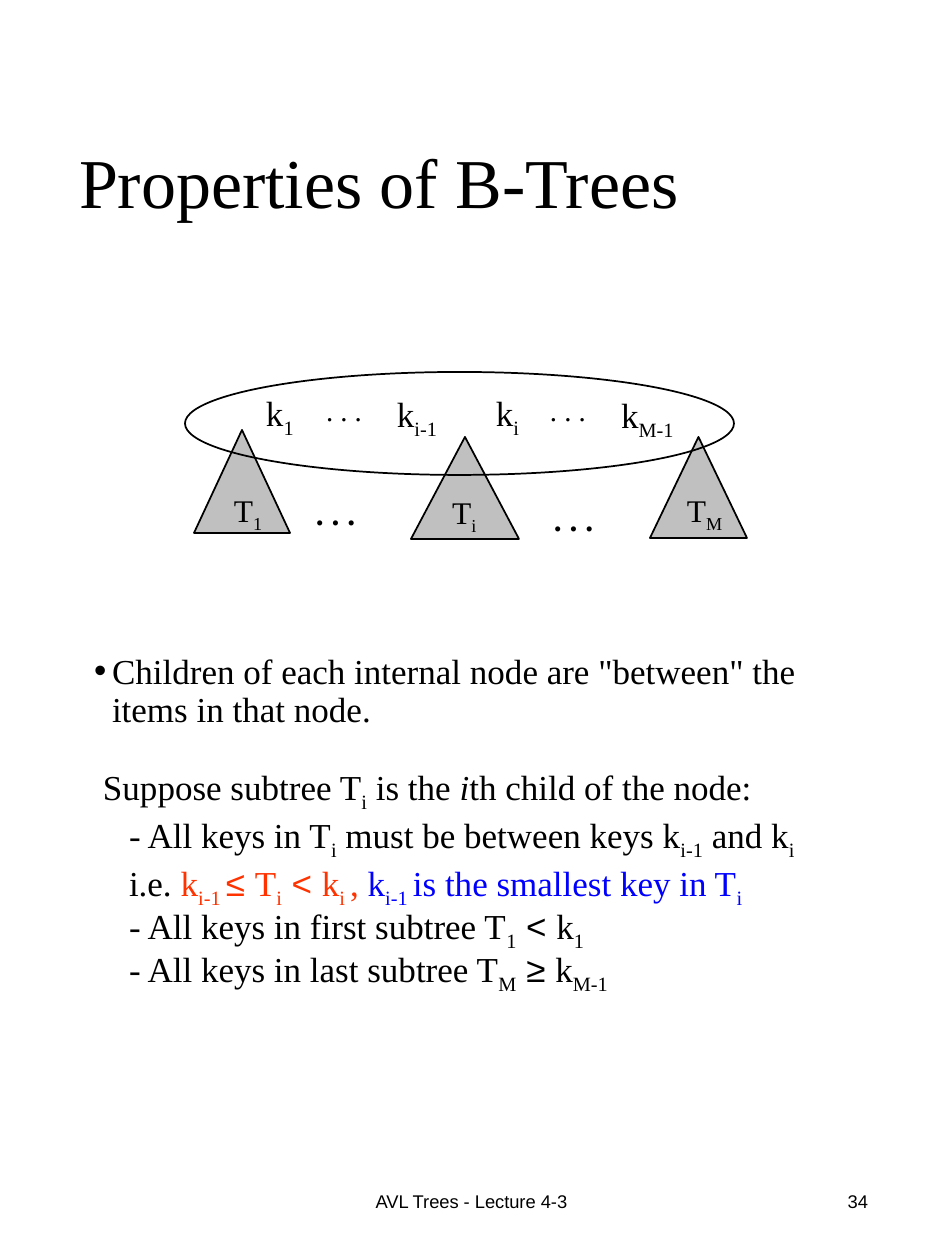
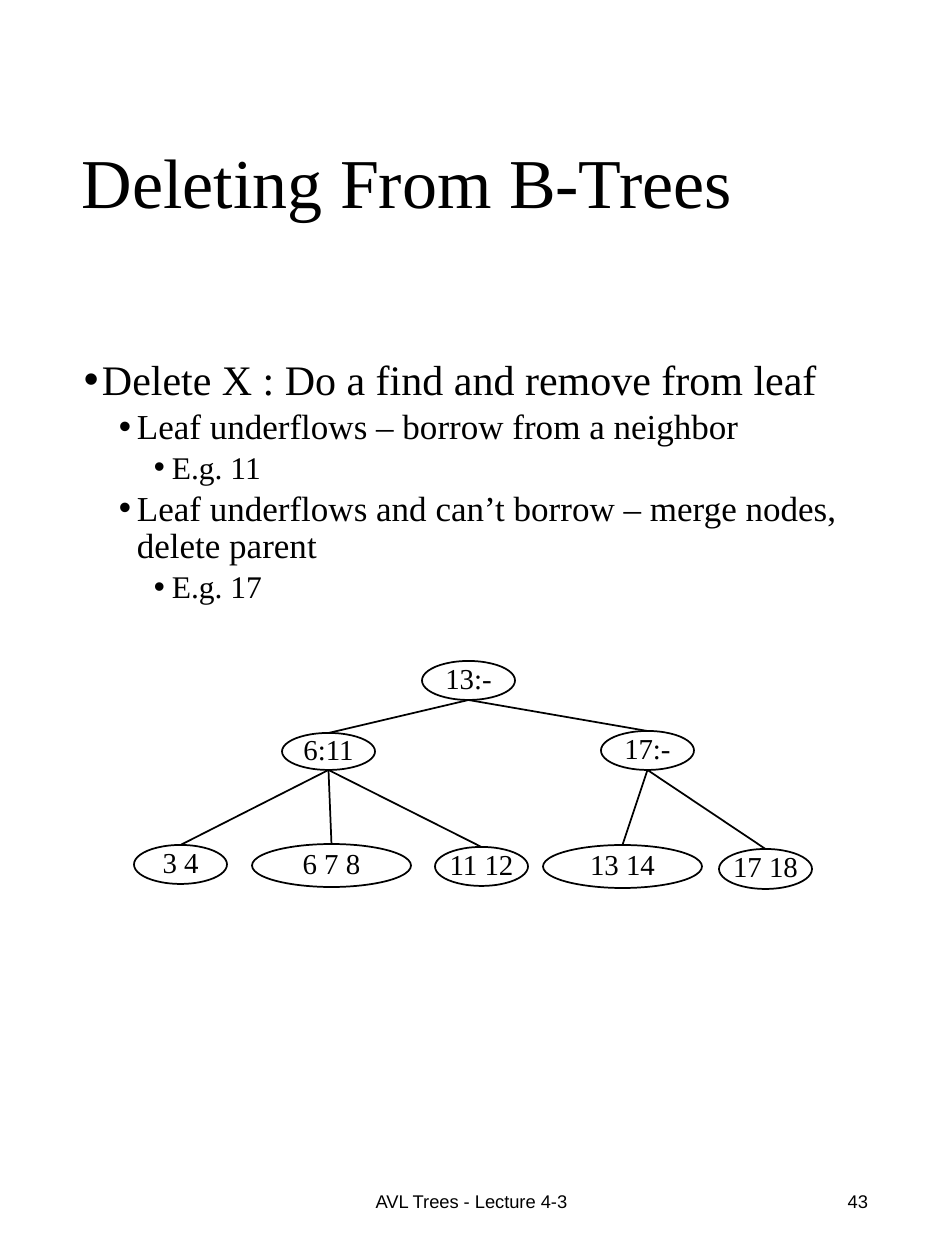
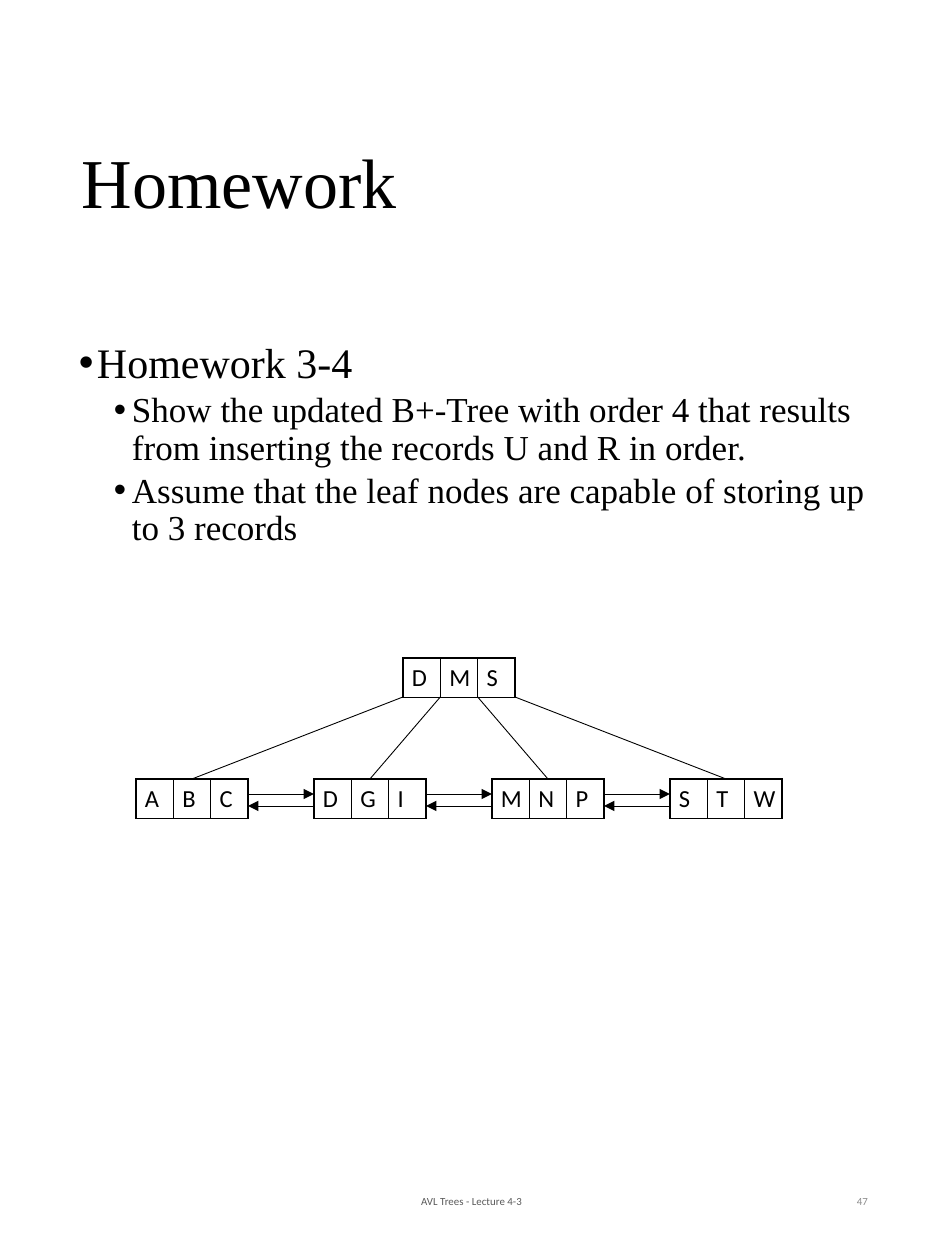
from dataclasses import dataclass

import pptx
import pptx.dml.color
import pptx.enum.shapes
import pptx.enum.text
import pptx.oxml.ns
import pptx.util
from lxml import etree

PX = 914400 / 126
BLACK, GRAY, RED, BLUE = "000000", "C0C0C0", "FF3300", "0000FF"
SERIF, SANS, CELL = "Times New Roman", "Arial", "Calibri"
SIZES = [24, 20, 18]  # text size of each bullet level
FOOTER = "AVL Trees - Lecture 4-3"
INSET = (13, 6, 13, 6)
TIGHT = (10, 5, 10, 5)
NONE = (0, 0, 0, 0)
ALIGN = pptx.enum.text.PP_ALIGN
ANCHOR = pptx.enum.text.MSO_ANCHOR
SHAPE = pptx.enum.shapes.MSO_SHAPE


@dataclass
class Para:
    """Pieces of text are split by |; _ marks a subscript, * an italic."""
    text: object  # a string, or a list of (string, colour)
    size: float
    color: str = BLACK
    face: str = SERIF
    align: object = ALIGN.LEFT
    line: float = 1.0
    before: float = 0
    left: int = 0
    hang: int = 0
    bold: bool = False


def emu(px):
    return pptx.util.Emu(round(px * PX))


def paint(target, color):
    target.rgb = pptx.dml.color.RGBColor.from_string(color)


def sub(parent, tag, **attrs):
    return etree.SubElement(parent, pptx.oxml.ns.qn(tag), attrs)


# Text

def style(run, para, color):
    mark = run.text[0]
    if mark in "_*":
        run.text = run.text[1:]
    font = run.font
    font.name = SANS if run.text.strip() in {"<", "≤", "≥"} else para.face
    font.size = pptx.util.Pt(para.size)
    font.bold = para.bold
    font.italic = mark == "*"
    if mark == "_":
        font._element.set("baseline", "-25000")
    font.fill.solid()
    paint(font.fill.fore_color, color)


def write(frame, paras):
    for i, para in enumerate(paras):
        line = frame.add_paragraph() if i else frame.paragraphs[0]
        props = line._p.get_or_add_pPr()
        props.set("marL", str(emu(para.left)))
        props.set("indent", str(emu(-para.hang)))
        if para.hang:
            sub(props, "a:buFont", typeface=SANS)
            sub(props, "a:buChar", char="•")
        else:
            sub(props, "a:buNone")
        line.alignment = para.align
        line.line_spacing = para.line
        if para.before:
            line.space_before = pptx.util.Pt(para.before)
        spans = [(para.text, para.color)] if isinstance(para.text, str) else para.text
        for text, color in spans:
            for piece in text.split("|"):
                run = line.add_run()
                run.text = piece
                style(run, para, color)


def setup(frame, inset, anchor):
    frame.word_wrap = True
    frame.vertical_anchor = anchor
    (frame.margin_left, frame.margin_top,
     frame.margin_right, frame.margin_bottom) = map(emu, inset)


def label(slide, box, *paras, inset=NONE, anchor=ANCHOR.TOP):
    frame = slide.shapes.add_textbox(*map(emu, box)).text_frame
    setup(frame, inset, anchor)
    write(frame, paras)


def bullet(text, level, first=False, size=None):
    return Para(text, size or SIZES[level], line=0.9, before=0 if first else 2.8,
                left=18 + 35 * level, hang=18)


# Shapes

def shape(slide, kind, box, fill=None):
    item = slide.shapes.add_shape(kind, *map(emu, box))
    item.shadow.inherit = False
    if fill:
        item.fill.solid()
        paint(item.fill.fore_color, fill)
    else:
        item.fill.background()
    paint(item.line.color, BLACK)
    item.line.width = pptx.util.Pt(1)
    return item


def line(slide, start, end, width, arrow=False):
    item = slide.shapes.add_connector(
        pptx.enum.shapes.MSO_CONNECTOR.STRAIGHT, *map(emu, (*start, *end)))
    paint(item.line.color, BLACK)
    item.line.width = pptx.util.Pt(width)
    if arrow:
        sub(item.line._get_or_add_ln(), "a:tailEnd", type="triangle")
    sub(item._element.spPr, "a:effectLst")


# What the slides share

def page(deck, title, number, inset=INSET, face=SANS, size=10.5, tints=(BLACK, BLACK)):
    slide = deck.slides.add_slide(deck.slide_layouts[6])
    label(slide, (69, 64, 815, 243), Para(title, 40, line=0.9),
          inset=inset, anchor=ANCHOR.MIDDLE)
    feet = [((312, 1168, 319, 67), FOOTER, ALIGN.CENTER),
            ((668, 1168, 213, 67), number, ALIGN.RIGHT)]
    for (box, text, align), tint in zip(feet, tints):
        label(slide, box, Para(text, size, tint, face, align),
              inset=INSET, anchor=ANCHOR.MIDDLE)
    return slide


# Slide 1: a node with its keys and subtrees

def node(slide, left, top):
    def spot(x, y, w, h):
        return left + x, top + y, w, h

    for box in [(9, 58, 96, 103), (226, 65, 108, 102), (465, 65, 97, 101)]:
        shape(slide, SHAPE.ISOSCELES_TRIANGLE, spot(*box), GRAY)
    shape(slide, SHAPE.OVAL, spot(0, 0, 549, 103))
    # Subtree names and the dots between them
    for text, x, y, w in [("T|_1", 49, 119, 30), ("T|_i", 267, 121, 30),
                          ("T|_M", 502, 119, 43)]:
        label(slide, spot(x, y, w, 38), Para(text, 18))
    for x, y in [(131, 122), (369, 128)]:
        label(slide, spot(x, y, 48, 38), Para(". . .", 18, bold=True))
    # Keys and the dots between them
    for text, x, y, w in [("k|_1", 81, 22, 30), ("k|_i-1", 212, 23, 50),
                          ("k|_i", 311, 22, 26), ("k|_M-1", 436, 24, 58)]:
        label(slide, spot(x, y, w, 55), Para(text, 20, line=0.85))
    for x in (141, 365):
        label(slide, spot(x, 26, 43, 43), Para(". . .", 16.5, line=0.85))


def rules(deck):
    slide = page(deck, "Properties of B-Trees", "34", TIGHT)
    node(slide, 185, 372)

    def item(text, before=0, left=35):
        return Para(text, 20, line=0.9, before=before, left=left)

    label(
        slide, (84, 649, 765, 325),
        bullet('Children of each internal node are "between" the items in that node.',
               0, True, 20),
        item("Suppose subtree T|_i| is the |*i|th child of the node:", 21, 9),
        item("- All keys in T|_i| must be between keys k|_i-1| and k|_i", 2.8),
        item([("i.e. ", BLACK), ("k|_i-1 |≤ |T|_i| < |k|_i |, ", RED),
              ("k|_i-1 |is the smallest key in T|_i", BLUE)], 2.8),
        item("- All keys in first subtree T|_1| < |k|_1"),
        item("- All keys in last subtree T|_M| ≥ |k|_M-1"),
        inset=TIGHT)


# Slide 2: a tree of ovals

def ovals(slide, left, top):
    # text, box, text of the parent
    nodes = [
        ("13:-", (288, 0, 93, 39), None),
        ("6:11", (148, 72, 93, 37), "13:-"),
        ("17:-", (467, 70, 93, 39), "13:-"),
        ("3 4", (0, 184, 93, 39), "6:11"),
        ("6 7 8", (118, 183, 159, 43), "6:11"),
        ("11 12", (301, 186, 93, 39), "6:11"),
        ("13 14", (409, 184, 159, 43), "17:-"),
        ("17 18", (585, 188, 93, 40), "17:-"),
    ]
    boxes = {text: (left + x, top + y, w, h) for text, (x, y, w, h), _ in nodes}
    for text, _, parent in nodes:
        x, y, w, h = boxes[text]
        if parent:
            px, py, pw, ph = boxes[parent]
            line(slide, (px + pw / 2, py + ph), (x + w / 2, y), 1)
        frame = shape(slide, SHAPE.OVAL, (x, y, w, h)).text_frame
        setup(frame, NONE, ANCHOR.MIDDLE)
        frame.word_wrap = False
        write(frame, [Para(text, 16.5, align=ALIGN.CENTER, line=0.85)])


def delete(deck):
    slide = page(deck, "Deleting From B-Trees", "43")
    label(
        slide, (71, 353, 804, 48),
        bullet("Delete X : Do a find and remove from leaf", 0, True),
        bullet("Leaf underflows – borrow from a neighbor", 1),
        bullet("E.g. 11", 2),
        bullet("Leaf underflows and can’t borrow – merge nodes, delete parent", 1),
        bullet("E.g. 17", 2),
        inset=INSET)
    ovals(slide, 134, 661)


# Slide 3: a tree of tables

def cells(slide, keys, box):
    frame = slide.shapes.add_table(1, len(keys), *map(emu, box))
    table = frame.table
    table.first_row = table.horz_banding = False
    for col, key in enumerate(keys):
        table.columns[col].width = emu(box[2] / len(keys))
        cell = table.cell(0, col)
        (cell.margin_left, cell.margin_top,
         cell.margin_right, cell.margin_bottom) = map(emu, (9, 5, 9, 5))
        write(cell.text_frame, [Para(key, 14, face=CELL)])
        props = cell._tc.get_or_add_tcPr()
        for side in "LRTB":
            edge = sub(props, f"a:ln{side}", w="12700")
            sub(sub(edge, "a:solidFill"), "a:srgbClr", val=BLACK)
        cell.fill.background()


def leaves(slide, left, top):
    wide, high, step, drop = 112, 39, 178, 121
    groups = ["ABC", "DGI", "MNP", "STW"]
    root = left + (step * (len(groups) - 1)) / 2
    low = top + drop
    cells(slide, "DMS", (root, top, wide, high))
    for i, keys in enumerate(groups):
        x = left + step * i
        cells(slide, keys, (x, low, wide, high))
        line(slide, (root + wide * i / 3, top + high), (x + wide / 2, low), 0.5)
        # Links to and from the next leaf
        if i < len(groups) - 1:
            near, far = x + wide, x + step
            line(slide, (near, low + 15), (far, low + 15), 0.5, True)
            line(slide, (far, low + 27), (near, low + 27), 0.5, True)


def task(deck):
    slide = page(deck, "Homework", "47", face=CELL, size=6.2,
                 tints=("595959", "8C8C8C"))
    label(
        slide, (66, 336, 815, 799),
        bullet("Homework 3-4", 0, True),
        bullet("Show the updated B+-Tree with order 4 that results from "
               "inserting the records U and R in order.", 1),
        bullet("Assume that the leaf nodes are capable of storing up to 3 records", 1),
        inset=INSET)
    leaves(slide, 136, 658)


def main():
    deck = pptx.Presentation()
    deck.slide_width, deck.slide_height = emu(945), emu(1260)
    rules(deck)
    delete(deck)
    task(deck)
    deck.save("out.pptx")


if __name__ == "__main__":
    main()
